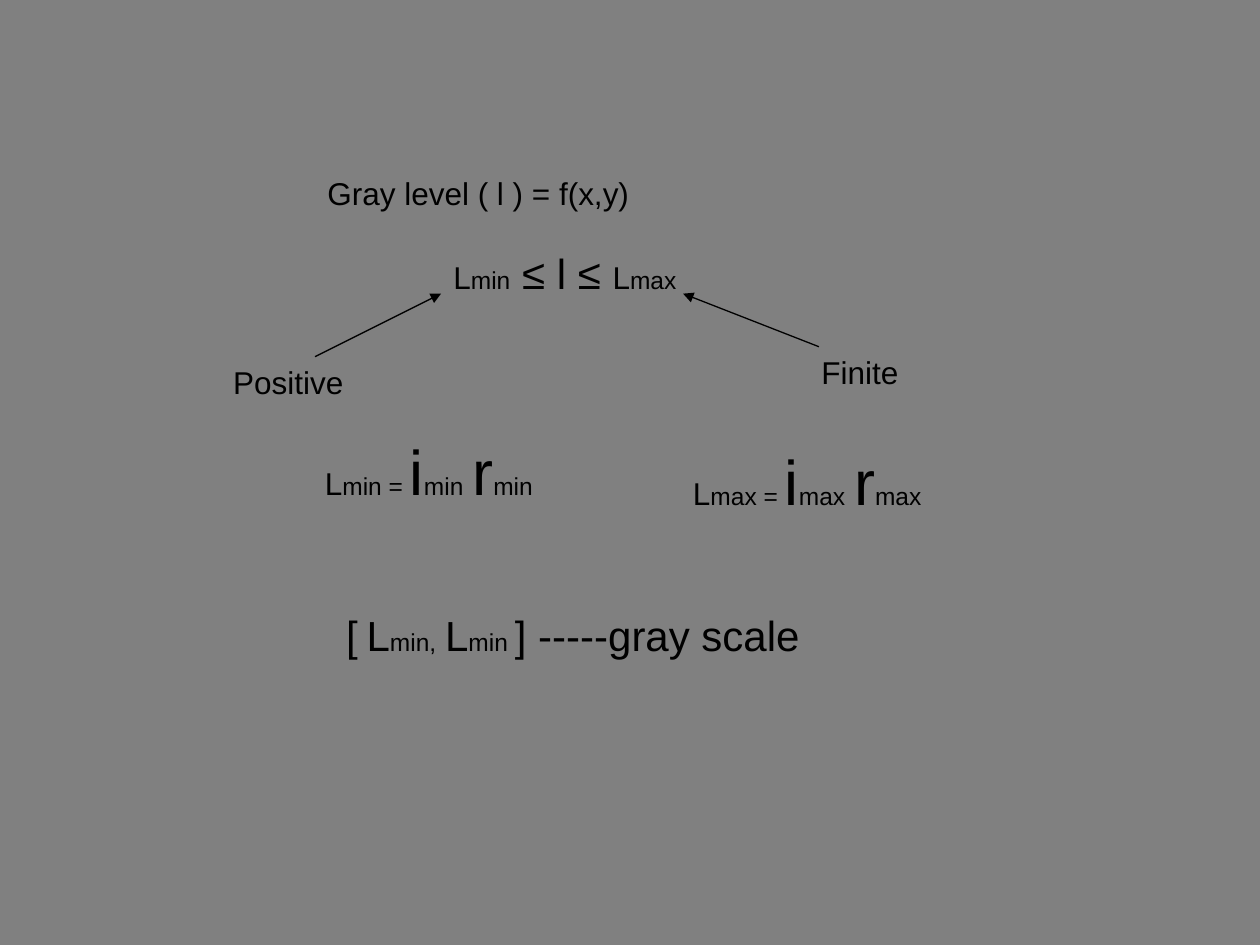
from lxml import etree
from pptx import Presentation
from pptx.dml.color import RGBColor
from pptx.enum.shapes import MSO_CONNECTOR
from pptx.enum.text import MSO_ANCHOR, MSO_AUTO_SIZE
from pptx.oxml.ns import qn
from pptx.util import Cm, Pt

LINE = MSO_CONNECTOR.STRAIGHT
TOP = MSO_ANCHOR.TOP
FIXED = MSO_AUTO_SIZE.NONE

THEME = {
    "back": RGBColor(0x80, 0x80, 0x80),
    "ink": RGBColor(0, 0, 0),
    "font": "Arial",
    "line": Pt(0.75),
    "sub": Pt(14),
    "body": Pt(18),
    "large": Pt(24),
    "huge": Pt(36),
}


def bound(end):
    return [
        ("L", "body"), (f"{end} = ", "sub"), ("i", "huge"), (end, "sub"),
        (" ", "body"), ("r", "huge"), (end, "sub"),
    ]


LEVEL = [("Gray level ( l ) = f(x,y)", "body")]
RANGE = [
    ("L", "body"), ("min", "sub"), (" ≤ l ≤ ", "large"),
    ("L", "body"), ("max", "sub"),
]
SCALE = [
    ("[", "large"), (" ", "body"), ("L", "large"), ("min,", "sub"),
    (" ", "body"), ("L", "large"), ("min ", "sub"),
    ("] -----gray scale", "large"),
]
TEXTS = [
    ((6.35, 3.38, 7.54, 2.79), [LEVEL, RANGE]),
    ((4.45, 7.19, 2.74, 1.02), [[("Positive", "body")]]),
    ((16.31, 6.99, 2.24, 1.02), [[("Finite", "body")]]),
    ((6.3, 8.59, 4.7, 1.78), [bound("min")]),
    ((13.72, 8.79, 5.11, 2.39), [bound("max")]),
    ((6.73, 12.17, 9.65, 2.29), [SCALE]),
]
ARROWS = [(6.35, 7.19, 8.89, 5.92), (16.51, 6.99, 13.77, 5.92)]
FRAME = {"word_wrap": False, "auto_size": FIXED, "vertical_anchor": TOP}
GAP = Pt(20.7)
INDENT = Cm(2.54)


def style(item, values):
    for name, value in values.items():
        setattr(item, name, value)


def add_text(slide, place, lines):
    frame = slide.shapes.add_textbox(*map(Cm, place)).text_frame
    style(frame, FRAME)
    for row, parts in enumerate(lines):
        para = frame.add_paragraph() if row else frame.paragraphs[0]
        if row:
            para.space_before = GAP
            para._p.get_or_add_pPr().set("marL", str(INDENT))
        for text, size in parts:
            run = para.add_run()
            run.text = text
            style(run.font, {"name": THEME["font"], "size": THEME[size]})
            run.font.color.rgb = THEME["ink"]


def add_arrow(slide, ends):
    arrow = slide.shapes.add_connector(LINE, *map(Cm, ends))
    arrow.line.width = THEME["line"]
    arrow.line.color.rgb = THEME["ink"]
    tip = etree.SubElement(arrow.line._get_or_add_ln(), qn("a:tailEnd"))
    tip.set("type", "triangle")
    etree.SubElement(arrow._element.spPr, qn("a:effectLst"))


def main():
    deck = Presentation()
    style(deck, {"slide_width": Cm(25.4), "slide_height": Cm(19.05)})
    slide = deck.slides.add_slide(deck.slide_layouts[6])
    fill = slide.background.fill
    fill.solid()
    fill.fore_color.rgb = THEME["back"]
    for place, lines in TEXTS:
        add_text(slide, place, lines)
    for ends in ARROWS:
        add_arrow(slide, ends)
    deck.save("out.pptx")


if __name__ == "__main__":
    main()
